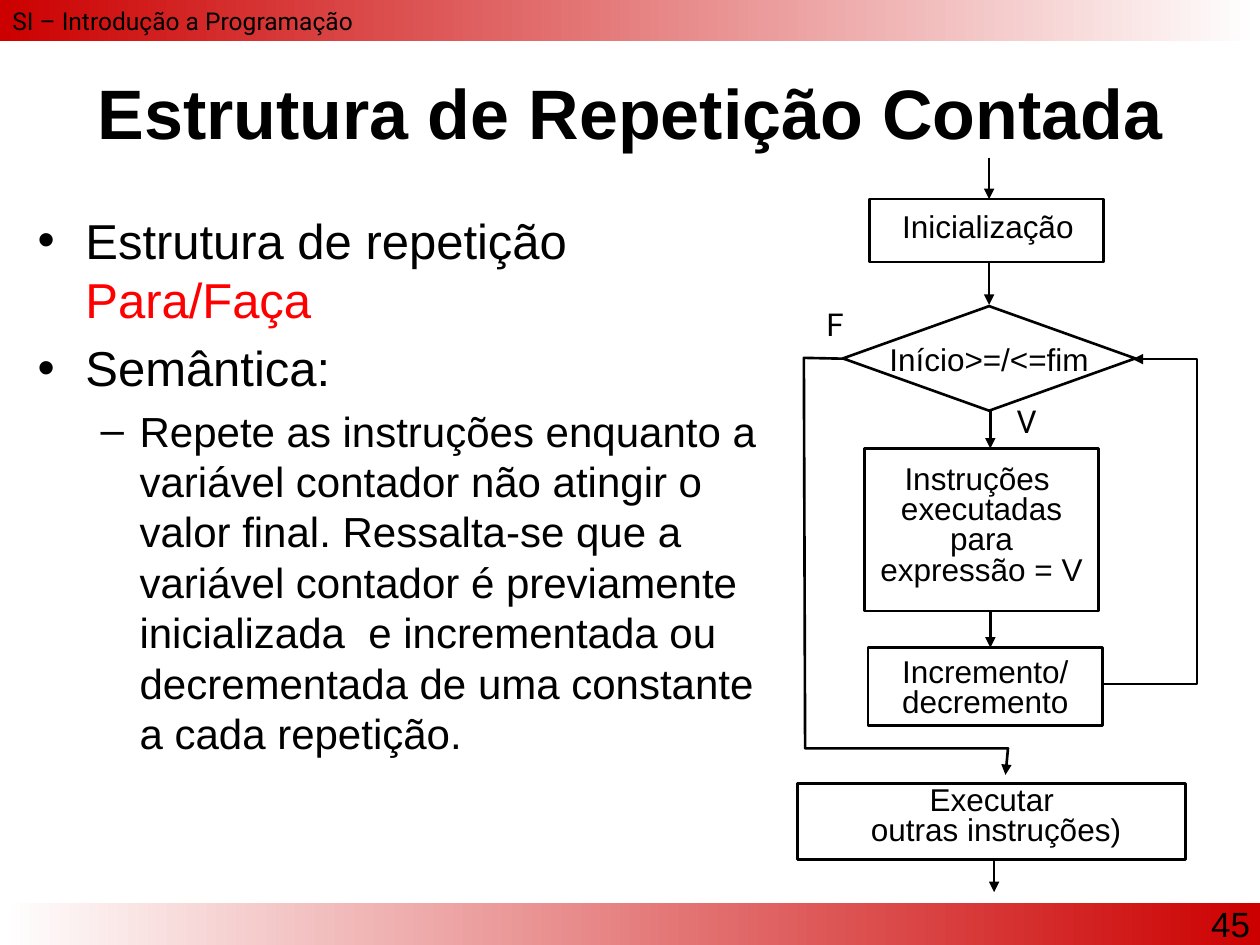
import pptx
import pptx.dml.color
import pptx.enum.shapes
import pptx.enum.text
import pptx.oxml.ns
import pptx.util
from lxml import etree

Inches = pptx.util.Inches
Pt = pptx.util.Pt
SHAPE = pptx.enum.shapes.MSO_SHAPE
ALIGN = pptx.enum.text.PP_ALIGN
ANCHOR = pptx.enum.text.MSO_ANCHOR
qn = pptx.oxml.ns.qn

COLORS = {
    name: pptx.dml.color.RGBColor.from_string(value)
    for name, value in {"black": "000000", "white": "FFFFFF",
                        "band": "CC0000", "keyword": "FF0000"}.items()
}

presentation = pptx.Presentation()
presentation.slide_width = Inches(10)
presentation.slide_height = Inches(7.5)
slide = presentation.slides.add_slide(presentation.slide_layouts[6])
shapes = slide.shapes


def write(shape, text, size, font="Arial", align=ALIGN.LEFT, spacing=None,
          anchor=ANCHOR.TOP, wrap=True, bold=False):
    """Put black text in a shape, one paragraph per line of text."""
    frame = shape.text_frame
    frame.text = text
    frame.word_wrap = wrap
    frame.vertical_anchor = anchor
    for paragraph in frame.paragraphs:
        paragraph.alignment = align
        if spacing:
            paragraph.line_spacing = spacing
        for run in paragraph.runs:
            run.font.name = font
            run.font.size = Pt(size)
            run.font.bold = bold
            run.font.color.rgb = COLORS["black"]
    return frame


def style_line(shape, arrow=False):
    """Draw a black 1.5 pt line, with an arrowhead at its end if asked."""
    shape.line.color.rgb = COLORS["black"]
    shape.line.width = Pt(1.5)
    if arrow:
        line = shape.line._get_or_add_ln()
        etree.SubElement(line, qn("a:tailEnd"), type="triangle")


# Gradient bands at the top and bottom
for top, start, end in [(7.17, "white", "band"), (0, "band", "white")]:
    band = shapes.add_shape(SHAPE.RECTANGLE, 0, Inches(top), Inches(10), Inches(0.33))
    band.shadow.inherit = False
    band.line.fill.background()
    band.fill.gradient()
    band.fill.gradient_angle = 0
    for stop, name in zip(band.fill.gradient_stops, (start, end)):
        stop.color.rgb = COLORS[name]

# Header, title and page number
header = shapes.add_textbox(0, 0, Inches(10), Inches(0.5))
write(header, "SI – Introdução a Programação", 14, "Roboto")
title = shapes.add_textbox(0, Inches(0.52), Inches(10), Inches(0.73))
write(title, "Estrutura de Repetição Contada", 40, align=ALIGN.CENTER,
      anchor=ANCHOR.MIDDLE, bold=True)
page_number = shapes.add_textbox(Inches(8.67), Inches(7.11), Inches(1.35), Inches(0.5))
write(page_number, "45", 20, align=ALIGN.RIGHT)

# Bulleted explanation
body = shapes.add_textbox(Inches(0.2), Inches(1.62), Inches(6.06), Inches(5.46))
body_frame = write(
    body,
    "Estrutura de repetição \n"
    "Semântica:\n"
    "Repete as instruções enquanto a variável contador não atingir o valor final. "
    "Ressalta-se que a variável contador é previamente inicializada  e incrementada "
    "ou decrementada de uma constante a cada repetição.",
    28,
)
levels = [(0, 0.38, -0.38, "•", 28), (0, 0.38, -0.38, "•", 28), (1, 0.81, -0.31, "–", 24)]
for index, (paragraph, level) in enumerate(zip(body_frame.paragraphs, levels)):
    depth, margin, indent, bullet, size = level
    paragraph.level = depth
    if index:
        paragraph.space_before = Pt(0.2 * size)
    properties = paragraph._p.get_or_add_pPr()
    properties.set("marL", str(Inches(margin)))
    properties.set("indent", str(Inches(indent)))
    etree.SubElement(properties, qn("a:buFont"), typeface="Arial")
    etree.SubElement(properties, qn("a:buChar"), char=bullet)
    paragraph.runs[0].font.size = Pt(size)
keyword = body_frame.paragraphs[0].add_run()
keyword.text = "Para/Faça"
keyword.font.name = "Arial"
keyword.font.size = Pt(28)
keyword.font.color.rgb = COLORS["keyword"]

# Straight flow arrows: x, top, bottom
for x, top, bottom in [(7.85, 1.25, 1.58), (7.85, 2.08, 2.42), (7.86, 3.06, 3.56),
                       (7.86, 4.64, 5.14), (7.89, 6.83, 7.08)]:
    arrow = shapes.add_connector(pptx.enum.shapes.MSO_CONNECTOR.STRAIGHT,
                                 Inches(x), Inches(top), Inches(x), Inches(bottom))
    style_line(arrow, arrow=True)
    etree.SubElement(arrow._element.spPr, qn("a:effectLst"))

# Bent arrows: loop back to the test, and exit when it is false
loop_back = [(8.76, 5.43), (9.5, 5.43), (9.5, 2.85), (8.99, 2.85)]
false_exit = [(6.85, 2.85), (6.38, 2.84), (6.39, 5.94), (8, 5.94), (7.98, 6.15)]
for points in (loop_back, false_exit):
    start, *rest = [(Inches(x), Inches(y)) for x, y in points]
    builder = shapes.build_freeform(*start)
    builder.add_line_segments(rest, close=False)
    route = builder.convert_to_shape()
    route.shadow.inherit = False
    route.fill.background()
    style_line(route, arrow=True)

# Flowchart boxes
process, decision = SHAPE.FLOWCHART_PROCESS, SHAPE.FLOWCHART_DECISION
for kind, left, top, width, height in [
    (process, 6.9, 1.58, 1.86, 0.5),
    (process, 6.86, 3.56, 1.86, 1.29),
    (process, 6.89, 5.14, 1.86, 0.62),
    (process, 6.33, 6.22, 3.08, 0.6),
    (decision, 6.69, 2.43, 2.32, 0.83),
]:
    box = shapes.add_shape(kind, Inches(left), Inches(top), Inches(width), Inches(height))
    box.shadow.inherit = False
    if top == 6.22:
        box.fill.background()
    else:
        box.fill.solid()
        box.fill.fore_color.rgb = COLORS["white"]
    style_line(box)
    if kind == decision:
        write(box, "Início>=/<=fim", 18, align=ALIGN.CENTER,
              anchor=ANCHOR.MIDDLE, wrap=False)

# Flowchart texts
for text, left, top, width, height, wrap in [
    ("Inicialização", 6.85, 1.65, 1.98, 0.34, True),
    ("Instruções \nexecutadas para\nexpressão = V", 6.8, 3.65, 1.98, 1.07, True),
    ("Incremento/\vdecremento", 6.83, 5.18, 1.98, 0.59, True),
    ("Executar \noutras instruções)", 6.8, 6.2, 2.21, 0.59, False),
]:
    label = shapes.add_textbox(Inches(left), Inches(top), Inches(width), Inches(height))
    write(label, text, 18, align=ALIGN.CENTER, spacing=0.8, wrap=wrap)

# Branch labels
for text, left, top, width in [("V", 7.97, 3.14, 0.35), ("F", 6.46, 2.37, 0.33)]:
    label = shapes.add_textbox(Inches(left), Inches(top), Inches(width), Inches(0.4))
    write(label, text, 18, "Roboto", wrap=False)

presentation.save("out.pptx")
